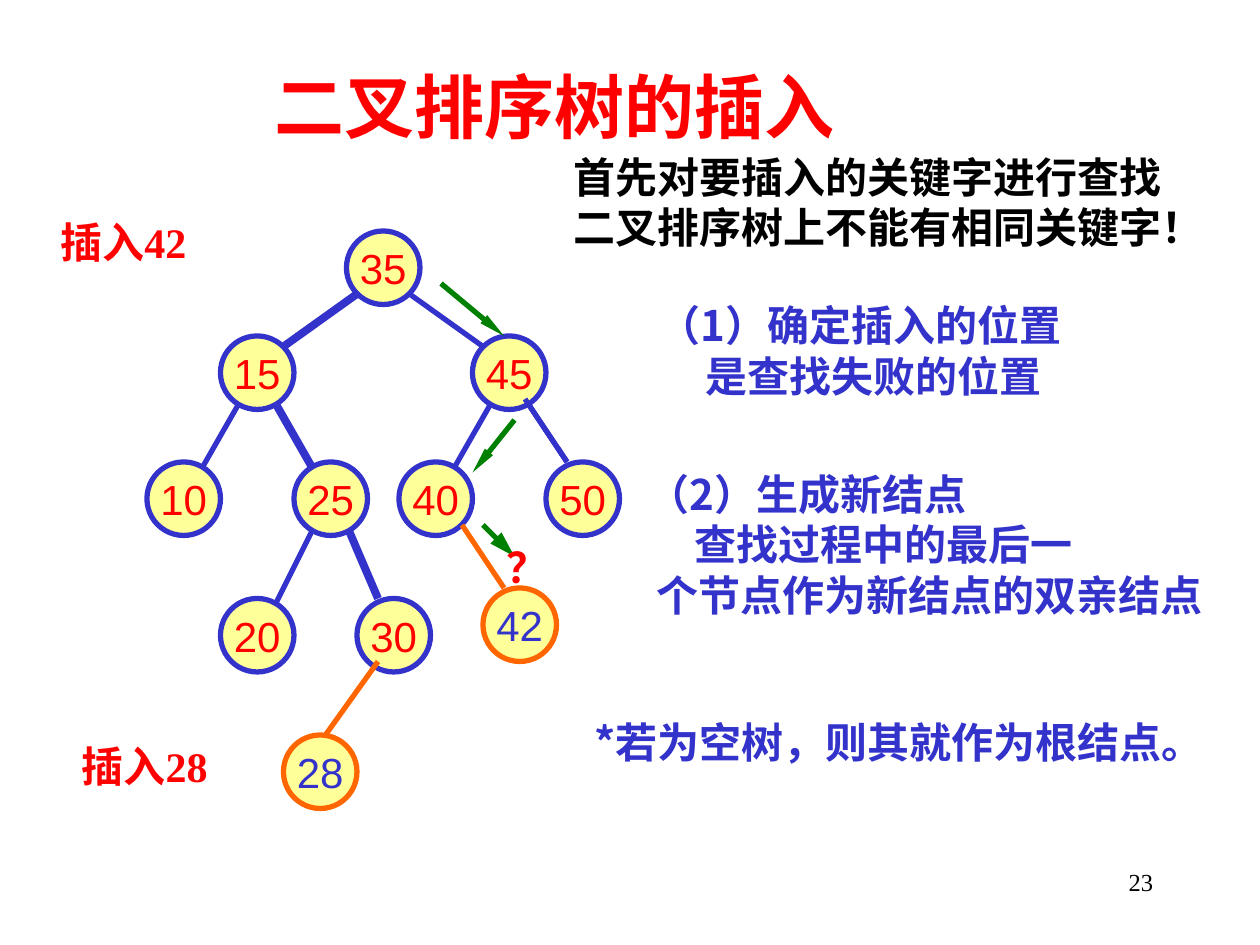
from lxml.etree import SubElement
from pptx import Presentation
from pptx.dml.color import RGBColor
from pptx.enum.shapes import MSO_CONNECTOR, MSO_SHAPE
from pptx.enum.text import MSO_ANCHOR, MSO_AUTO_SIZE, PP_ALIGN
from pptx.oxml.ns import qn
from pptx.util import Inches, Pt

RED = RGBColor(0xFF, 0x00, 0x00)
BLUE = RGBColor(0x33, 0x33, 0xCC)
ORANGE = RGBColor(0xFF, 0x66, 0x00)
GREEN = RGBColor(0x00, 0x80, 0x00)
YELLOW = RGBColor(0xFF, 0xFF, 0x99)
BLACK = RGBColor(0x00, 0x00, 0x00)

SERIF = "Times New Roman"
SANS = "Arial"
CHINESE = "Noto Sans CJK SC"

UNIT = Inches(1) // 12
NODE_SIZE = 7

TREE_EDGES = [
    (47, 38, 43, 45, 3),
    (33, 50, 36, 57, 4.5),
    (30, 50, 26, 58, 3),
    (23, 38, 19, 45, 3),
    (26, 38, 30, 45, 4.5),
    (34, 28, 27, 33, 4.5),
    (39, 28, 46, 33, 3),
    (50, 38, 54, 44, 3),
]
TREE_NODES = [
    ("35", 33, 22), ("15", 21, 32), ("45", 45, 32),
    ("50", 52, 44), ("40", 38, 44), ("25", 28, 44), ("10", 14, 44),
    ("20", 21, 57), ("30", 34, 57),
]
INSERTED_NODES = [
    ("42", 46, 56, (44, 50, 48, 56)),
    ("28", 27, 70, (36, 63, 31, 70)),
]
SEARCH_ARROWS = [
    (46, 50, 49, 53, "med"),
    (49, 40, 45, 45, "sm"),
    (42, 27, 48, 32, "sm"),
]
NOTES = [
    (0.38, 1.67, 1.28, 0.5, [("插入42", 0)], SERIF, RED),
    (5.13, 2.33, 3.7, 0.9, [("（1）确定插入的位置", 0), ("是查找失败的位置", 0.37)], CHINESE, BLUE),
    (3.92, 4.25, 0.53, 0.5, [("？", 0)], SERIF, RED),
    (5.04, 3.67, 4.73, 1.3,
     [("（2）生成新结点", 0), ("查找过程中的最后一", 0.37), ("个节点作为新结点的双亲结点", 0.07)],
     CHINESE, BLUE),
    (0.55, 5.83, 1.28, 0.5, [("插入28", 0)], SERIF, RED),
    (4.62, 5.64, 5.14, 0.5, [("*若为空树，则其就作为根结点。", 0)], CHINESE, BLUE),
    (4.45, 1.15, 5.41, 0.9,
     [("首先对要插入的关键字进行查找", 0), ("二叉排序树上不能有相同关键字！", 0)],
     SERIF, BLACK),
]


def apply_format(target, values):
    for name, value in values.items():
        setattr(target, name, value)


def format_paragraph(paragraph, text, name, size, color, bold=False, alignment=PP_ALIGN.LEFT):
    run = paragraph.add_run()
    run.text = text
    paragraph.alignment = alignment
    apply_format(run.font, {"name": name, "size": Pt(size), "bold": bold})
    run.font.color.rgb = color
    SubElement(run.font._element, qn("a:ea"), typeface=CHINESE)


def add_title(slide, text):
    title = slide.shapes.title
    apply_format(title, {"left": Inches(2.08), "top": Inches(0.5),
                         "width": Inches(4.92), "height": Inches(0.67)})
    apply_format(title.text_frame, {"vertical_anchor": MSO_ANCHOR.MIDDLE,
                                    "auto_size": MSO_AUTO_SIZE.NONE})
    format_paragraph(title.text_frame.paragraphs[0], text, SERIF, 40, RED, True)


def add_note(slide, left, top, width, height, lines, font_name, color,
             size=24, bold=True, alignment=PP_ALIGN.LEFT):
    box = slide.shapes.add_textbox(Inches(left), Inches(top), Inches(width), Inches(height))
    frame = box.text_frame
    apply_format(frame, {"word_wrap": False, "auto_size": MSO_AUTO_SIZE.NONE})
    for index, (text, indent) in enumerate(lines):
        paragraph = frame.add_paragraph() if index else frame.paragraphs[0]
        format_paragraph(paragraph, text, font_name, size, color, bold, alignment)
        if indent:
            paragraph._p.get_or_add_pPr().set("marL", str(Inches(indent)))
    return box


def add_edge(slide, ends, color, width):
    edge = slide.shapes.add_connector(MSO_CONNECTOR.STRAIGHT, *(UNIT * end for end in ends))
    edge.line.color.rgb = color
    edge.line.width = Pt(width)
    SubElement(edge._element.spPr, qn("a:effectLst"))
    return edge


def add_arrow(slide, ends, head_width):
    arrow = add_edge(slide, ends, GREEN, 3)
    SubElement(arrow.line._get_or_add_ln(), qn("a:tailEnd"),
               type="triangle", w=head_width, len="lg")


def add_node(slide, key, column, row, line_color, text_color):
    node = slide.shapes.add_shape(MSO_SHAPE.OVAL, UNIT * column, UNIT * row,
                                  UNIT * NODE_SIZE, UNIT * NODE_SIZE)
    node.shadow.inherit = False
    node.fill.solid()
    node.fill.fore_color.rgb = YELLOW
    node.line.color.rgb = line_color
    node.line.width = Pt(3)
    apply_format(node.text_frame, {"word_wrap": False, "vertical_anchor": MSO_ANCHOR.MIDDLE})
    format_paragraph(node.text_frame.paragraphs[0], key, SANS, 24, text_color,
                     alignment=PP_ALIGN.CENTER)


def main():
    presentation = Presentation()
    apply_format(presentation, {"slide_width": Inches(10), "slide_height": Inches(7.5)})
    slide = presentation.slides.add_slide(presentation.slide_layouts[5])
    add_title(slide, "二叉排序树的插入")
    for *ends, width in TREE_EDGES:
        add_edge(slide, ends, BLUE, width)
    for key, column, row in TREE_NODES:
        add_node(slide, key, column, row, BLUE, RED)
    add_edge(slide, TREE_EDGES[-1][:4], BLUE, 3)
    for *ends, head_width in SEARCH_ARROWS:
        add_arrow(slide, ends, head_width)
    for key, column, row, ends in INSERTED_NODES:
        add_node(slide, key, column, row, ORANGE, BLUE)
        add_edge(slide, ends, ORANGE, 3)
    for note in NOTES:
        add_note(slide, *note)
    add_note(slide, 7.17, 6.83, 2.08, 0.5, [("23", 0)], SERIF, BLACK,
             14, False, PP_ALIGN.RIGHT).text_frame.word_wrap = True
    presentation.save("out.pptx")


if __name__ == "__main__":
    main()
